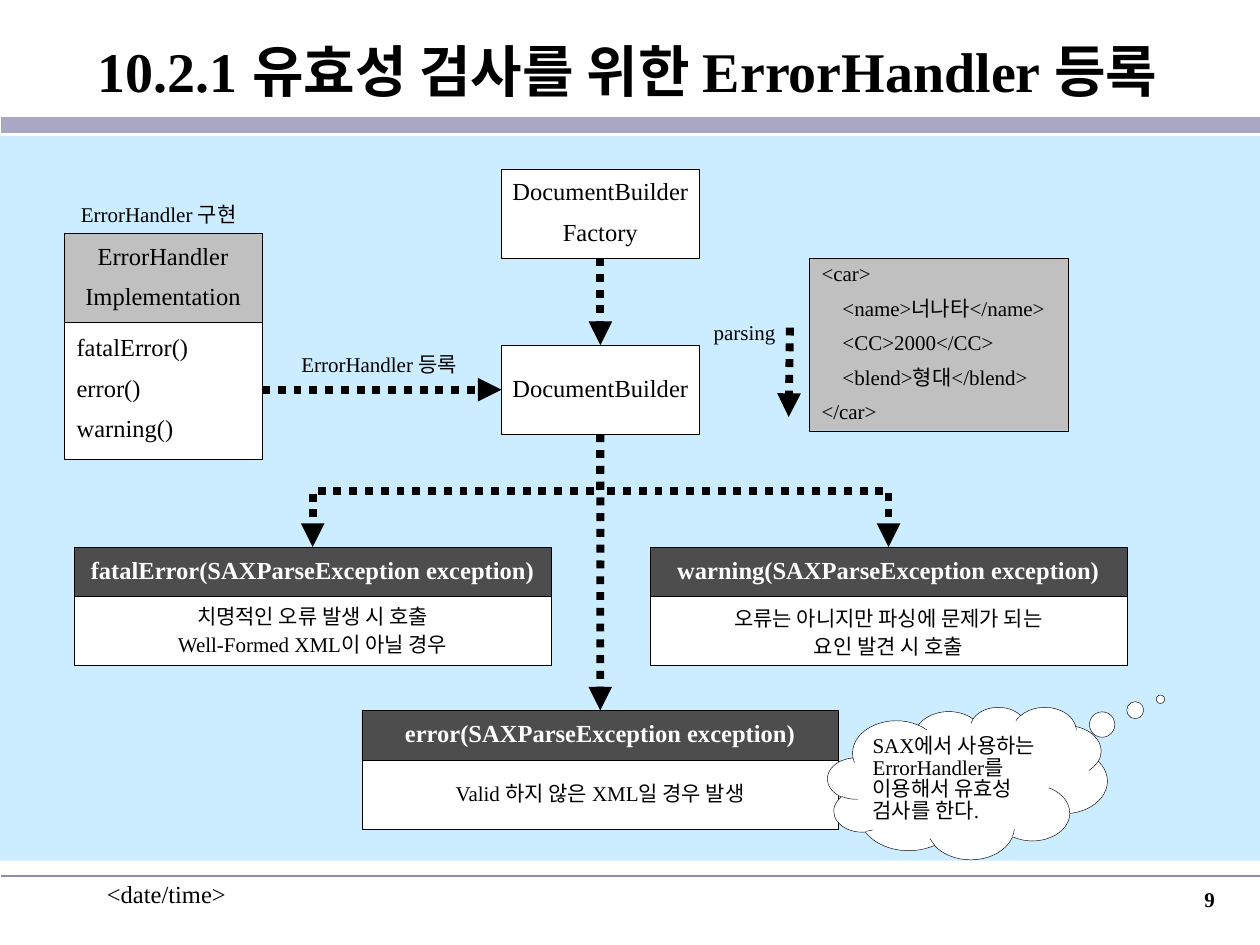
from dataclasses import dataclass
from typing import Optional

from lxml import etree
from pptx import Presentation
from pptx import util as u
from pptx.dml.color import RGBColor
from pptx.enum import dml, shapes, text
from pptx.oxml.ns import qn

Pt = u.Pt
BLACK = RGBColor(0, 0, 0)
WHITE = RGBColor(255, 255, 255)
SKY = RGBColor(0xCC, 0xEC, 0xFF)
SILVER = RGBColor(0xC0, 0xC0, 0xC0)
CHARCOAL = RGBColor(0x4D, 0x4D, 0x4D)
LAVENDER = RGBColor(0xA8, 0xA8, 0xC4)
SLATE = RGBColor(0x8C, 0x8C, 0xB2)
FONT = "Times New Roman"
LEFT, CENTER, RIGHT = text.PP_ALIGN.LEFT, text.PP_ALIGN.CENTER, text.PP_ALIGN.RIGHT
TOP, MIDDLE = text.MSO_ANCHOR.TOP, text.MSO_ANCHOR.MIDDLE
RECT = shapes.MSO_SHAPE.RECTANGLE


@dataclass(frozen=True)
class Area:
    left: float
    top: float
    width: float
    height: float

    @property
    def box(self) -> tuple:
        return Pt(self.left), Pt(self.top), Pt(self.width), Pt(self.height)


@dataclass(frozen=True)
class Wording:
    lines: tuple
    size: float = 14
    color: RGBColor = BLACK
    bold: bool = False
    align: text.PP_ALIGN = CENTER
    anchor: text.MSO_ANCHOR = MIDDLE
    spacings: tuple = (0.85,)
    wrap: bool = False
    insets: tuple = (7.2, 7.2)


@dataclass(frozen=True)
class Handler:
    left: float
    top: float
    signature: str
    description: tuple
    spacings: tuple


HANDLERS = (
    Handler(42.5, 312.6, "fatalError(SAXParseException exception)",
            ("치명적인 오류 발생 시 호출", "Well-Formed XML이 아닐 경우"), (0.85, 0.5)),
    Handler(371.5, 312.6, "warning(SAXParseException exception)",
            ("오류는 아니지만 파싱에 문제가 되는", "요인 발견 시 호출"), (1.0, 0.5)),
    Handler(206.8, 406, "error(SAXParseException exception)",
            ("Valid 하지 않은 XML일 경우 발생",), (0.85,)),
)
HANDLER_WIDTH, SIGNATURE_HEIGHT, DESCRIPTION_HEIGHT = 272.4, 28.4, 39.4
CLASS_WIDTH, CLASS_HEIGHT = 113, 51

LABELS = (
    (Area(162.7, 199.4, 108, 19.4), "ErrorHandler 등록"),
    (Area(400.3, 181.4, 50.4, 19.4), "parsing"),
    (Area(36.7, 113.8, 108, 19.4), "ErrorHandler 구현"),
)


def write(shape, wording: Wording) -> None:
    frame = shape.text_frame
    frame.word_wrap = wording.wrap
    frame.vertical_anchor = wording.anchor
    frame.margin_left, frame.margin_right = (Pt(inset) for inset in wording.insets)
    frame.margin_top = frame.margin_bottom = Pt(3.6)
    for index, line in enumerate(wording.lines):
        paragraph = frame.add_paragraph() if index else frame.paragraphs[0]
        paragraph.alignment = wording.align
        paragraph.line_spacing = wording.spacings[min(index, len(wording.spacings) - 1)]
        paragraph.space_before = Pt(round(wording.size * 0.625, 1) if index else 0)
        run = paragraph.add_run()
        run.text = line
        run.font.name = FONT
        run.font.size = Pt(wording.size)
        run.font.bold = wording.bold
        run.font.color.rgb = wording.color


def add_label(slide, area: Area, wording: Wording) -> None:
    write(slide.shapes.add_textbox(*area.box), wording)


def add_block(slide, area: Area, fill: RGBColor, wording: Optional[Wording] = None, preset=RECT):
    block = slide.shapes.add_shape(preset, *area.box)
    block.shadow.inherit = False
    block.fill.solid()
    block.fill.fore_color.rgb = fill
    if wording:
        block.line.color.rgb = BLACK
        block.line.width = Pt(0.25)
        write(block, wording)
    else:
        block.line.fill.background()
    return block


def add_line(slide, start: tuple, end: tuple, color: RGBColor, width: float,
             route=shapes.MSO_CONNECTOR.STRAIGHT):
    line = slide.shapes.add_connector(route, *(Pt(value) for value in start + end))
    line.line.color.rgb = color
    line.line.width = Pt(width)
    etree.SubElement(line._element.spPr, qn("a:effectLst"))
    return line


def add_arrow(slide, start: tuple, end: tuple, route=shapes.MSO_CONNECTOR.STRAIGHT):
    arrow = add_line(slide, start, end, BLACK, 4.5, route)
    arrow.line.dash_style = dml.MSO_LINE.ROUND_DOT
    etree.SubElement(arrow.line._get_or_add_ln(), qn("a:tailEnd"), type="triangle")
    return arrow


def join(slide, source, source_side: int, target, target_side: int) -> None:
    arrow = add_arrow(slide, (0, 0), (0, 0))
    arrow.begin_connect(source, source_side)
    arrow.end_connect(target, target_side)


def add_branch(slide, start: tuple, end: tuple) -> None:
    drop, reach = end[1] - start[1], abs(end[0] - start[0])
    left = (start[0] + end[0] - drop) / 2
    top = (start[1] + end[1] - reach) / 2
    branch = add_arrow(slide, (left, top), (left + drop, top + reach),
                       shapes.MSO_CONNECTOR.ELBOW)
    transform = branch._element.spPr.find(qn("a:xfrm"))
    if end[0] < start[0]:
        transform.set("rot", "5400000")
    else:
        transform.set("rot", "16200000")
        transform.set("flipH", "1")


def add_handler(slide, handler: Handler):
    signature = add_block(
        slide, Area(handler.left, handler.top, HANDLER_WIDTH, SIGNATURE_HEIGHT), CHARCOAL,
        Wording((handler.signature,), color=WHITE, bold=True))
    add_block(
        slide, Area(handler.left, handler.top + SIGNATURE_HEIGHT, HANDLER_WIDTH, DESCRIPTION_HEIGHT),
        WHITE, Wording(handler.description, size=12, spacings=handler.spacings))
    return signature


def main() -> None:
    deck = Presentation()
    deck.slide_width, deck.slide_height = Pt(720), Pt(540)
    slide = deck.slides.add_slide(deck.slide_layouts[6])

    add_label(slide, Area(54, 499, 149.8, 36),
              Wording(("<date/time>",), align=LEFT, anchor=TOP, spacings=(1.0,), wrap=True))
    add_line(slide, (0.7, 71.3), (720, 71.3), LAVENDER, 9.25)
    add_line(slide, (0.7, 500.4), (720, 500.4), SLATE, 1)
    add_block(slide, Area(0, 77.8, 720, 414), SKY)
    add_label(slide, Area(0.7, 7.9, 719.3, 64.8),
              Wording(("10.2.1 유효성 검사를 위한 ErrorHandler 등록",), size=32, bold=True,
                      align=LEFT, spacings=(1.0,), wrap=True, insets=(55.2, 7.2)))

    factory = add_block(slide, Area(286.6, 96.5, CLASS_WIDTH, CLASS_HEIGHT), WHITE,
                        Wording(("DocumentBuilder", "Factory")))
    builder = add_block(slide, Area(286.6, 197.2, CLASS_WIDTH, CLASS_HEIGHT), WHITE,
                        Wording(("DocumentBuilder",)))
    methods = add_block(slide, Area(36.7, 183.1, CLASS_WIDTH, 79.2), WHITE,
                        Wording(("fatalError()", "error()", "warning()"), align=LEFT))
    add_block(slide, Area(36.7, 133.4, CLASS_WIDTH, CLASS_HEIGHT), SILVER,
              Wording(("ErrorHandler", "Implementation")))
    add_block(slide, Area(462.4, 147.6, 148.3, 98.6), SILVER,
              Wording(("<car>", "    <name>너나타</name>", "    <CC>2000</CC>",
                       "    <blend>형대</blend>", "</car>"),
                      size=12, align=LEFT, anchor=TOP))
    for area, caption in LABELS:
        add_label(slide, area, Wording((caption,), size=12, anchor=TOP))

    fatal_error, warning, error = [add_handler(slide, handler) for handler in HANDLERS]
    join(slide, factory, 2, builder, 0)
    join(slide, methods, 3, builder, 1)
    join(slide, builder, 2, error, 0)
    add_arrow(slide, (451.4, 187.2), (450.7, 238.3))
    fork = ((builder.left + builder.width / 2) / Pt(1), (builder.top + builder.height) / Pt(1))
    for branch_end in (fatal_error, warning):
        add_branch(slide, fork, ((branch_end.left + branch_end.width / 2) / Pt(1),
                                 branch_end.top / Pt(1)))

    thought = add_block(slide, Area(473, 403.9, 159.8, 87.1), WHITE,
                        Wording(("SAX에서 사용하는 ErrorHandler를 이용해서 유효성 검사를 한다.",),
                                size=12, align=LEFT, wrap=True, insets=(3.6, 0)),
                        shapes.MSO_SHAPE.CLOUD_CALLOUT)
    thought.adjustments[0], thought.adjustments[1] = 0.69, -0.55
    add_label(slide, Area(551.5, 503.3, 149.8, 36),
              Wording(("9",), size=12, bold=True, align=RIGHT, anchor=TOP,
                      spacings=(1.0,), wrap=True))
    deck.save("out.pptx")


if __name__ == "__main__":
    main()
